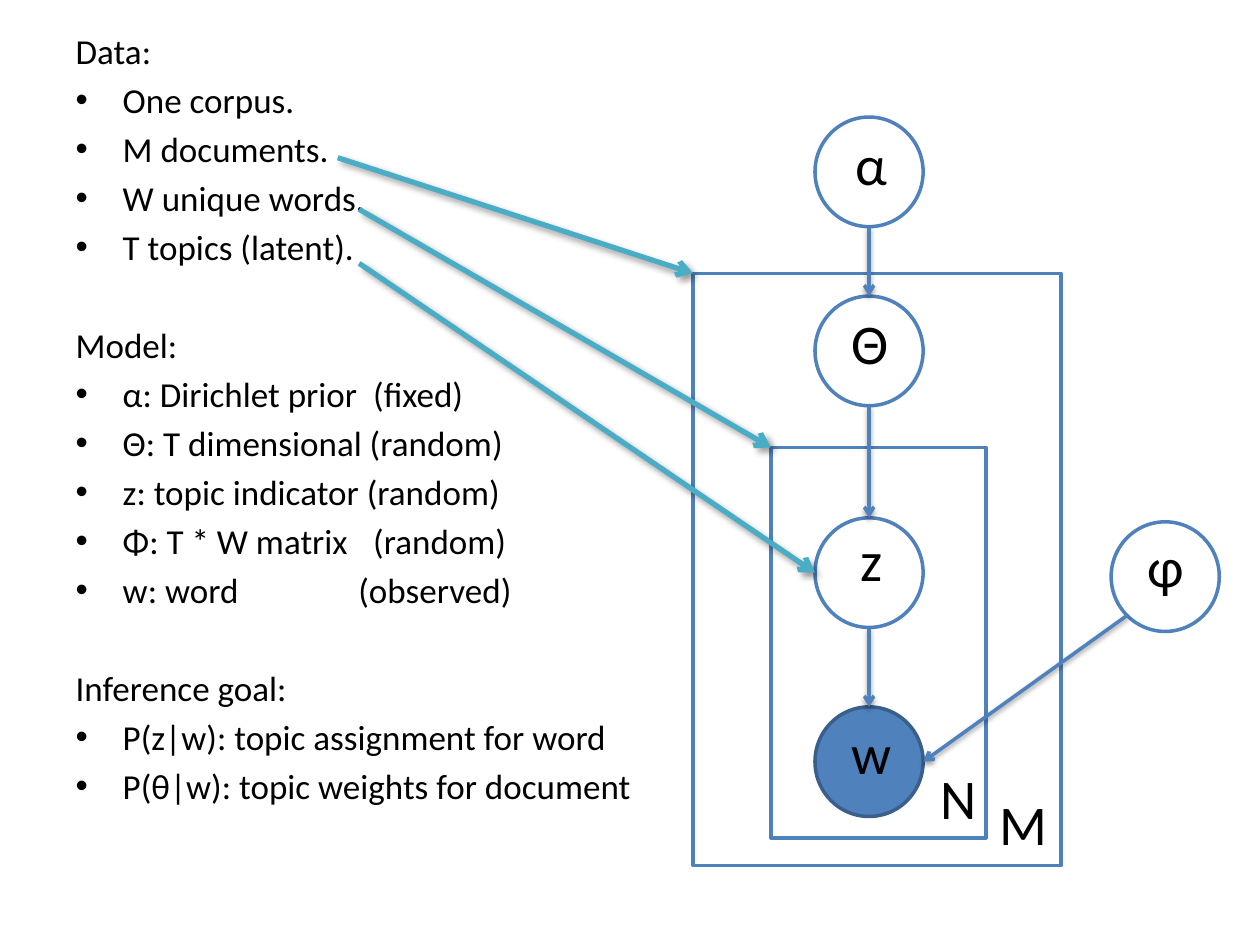
from dataclasses import dataclass

from lxml import etree
from pptx import Presentation
from pptx.dml.color import RGBColor
from pptx.enum import shapes, text
from pptx.oxml import ns
from pptx.util import Cm, Pt

BLUE, NAVY, TEAL, WHITE, BLACK = "4F81BD", "3A5F8C", "4BACC6", "FFFFFF", "000000"
NODE_W, NODE_H = 2.18, 2.21


@dataclass
class Plate:
    left: float
    top: float
    width: float
    height: float


@dataclass
class Node:
    left: float
    top: float
    fill: str = WHITE
    line: str = BLUE

    @property
    def center(self) -> float:
        return self.left + NODE_W / 2

    @property
    def middle(self) -> float:
        return self.top + NODE_H / 2


@dataclass
class Label:
    letter: str
    left: float
    top: float


@dataclass
class Shadow:
    alpha: int
    blur: float
    distance: float
    angle: int


@dataclass
class Arrow:
    start: tuple[float, float]
    end: tuple[float, float]
    color: str
    width: float
    shadow: Shadow


@dataclass
class Section:
    heading: str
    items: list[str]


def rgb(value: str) -> RGBColor:
    return RGBColor.from_string(value)


def child(parent, tag: str, **attributes):
    return etree.SubElement(parent, ns.qn(tag), {k: str(v) for k, v in attributes.items()})


def apply_format(target, values: dict) -> None:
    for name, value in values.items():
        setattr(target, name, value)


def draw_outline(slide, preset, box: tuple, fill: str, line: str) -> None:
    outline = slide.shapes.add_shape(preset, *map(Cm, box))
    outline.shadow.inherit = False
    outline.fill.solid()
    outline.fill.fore_color.rgb = rgb(fill)
    outline.line.color.rgb = rgb(line)
    outline.line.width = Pt(2)


def draw_arrow(slide, arrow: Arrow) -> None:
    connector = slide.shapes.add_connector(
        shapes.MSO_CONNECTOR.STRAIGHT, *map(Cm, arrow.start + arrow.end))
    connector.line.color.rgb = rgb(arrow.color)
    connector.line.width = Pt(arrow.width)
    child(connector.line._get_or_add_ln(), "a:tailEnd", type="arrow")
    effects = child(connector._element.spPr, "a:effectLst")
    cast = child(effects, "a:outerShdw", blurRad=Pt(arrow.shadow.blur),
                 dist=Pt(arrow.shadow.distance), dir=arrow.shadow.angle * 60000,
                 rotWithShape=0)
    tint = child(cast, "a:srgbClr", val=BLACK)
    child(tint, "a:alpha", val=arrow.shadow.alpha * 1000)


def draw_label(slide, label: Label) -> None:
    frame = slide.shapes.add_textbox(
        Cm(label.left), Cm(label.top), Cm(0.97), Cm(1.63)).text_frame
    frame.word_wrap = True
    run = frame.paragraphs[0].add_run()
    run.text = label.letter
    apply_format(run.font, {"size": Pt(32), "name": "Calibri"})
    run.font.color.rgb = rgb(BLACK)


def write_line(paragraph, words: str) -> None:
    run = paragraph.add_run()
    run.text = words
    apply_format(run.font, {"size": Pt(20), "name": "Calibri"})
    run.font.color.rgb = rgb(BLACK)


def write_sections(frame, sections: list[Section]) -> None:
    for number, section in enumerate(sections):
        heading = frame.add_paragraph() if number else frame.paragraphs[0]
        write_line(heading, section.heading)
        properties = heading._p.get_or_add_pPr()
        apply_format(heading, {"space_before": Pt(32 if number else 4)})
        properties.set("marL", "0")
        properties.set("indent", "0")
        child(properties, "a:buNone")
        for item in section.items:
            entry = frame.add_paragraph()
            write_line(entry, item)
            properties = entry._p.get_or_add_pPr()
            properties.set("marL", str(Cm(0.95)))
            properties.set("indent", str(Cm(-0.95)))
            if "\t" in item:
                stop = 5.7 if "observed" in item else 6
                child(child(properties, "a:tabLst"), "a:tab", pos=Cm(stop), algn="l")


document_plate = Plate(13.97, 5.51, 7.42, 11.94)
word_plate = Plate(15.54, 9.02, 4.34, 7.87)
alpha = Node(16.43, 2.36)
theta = Node(16.43, 5.97)
topic = Node(16.43, 10.44)
word = Node(16.43, 14.25, BLUE, NAVY)
phi = Node(22.4, 10.52)
labels = [
    Label("α", 16.99, 2.49), Label("Θ", 16.92, 6.1), Label("φ", 22.89, 10.59),
    Label("z", 17.09, 10.46), Label("w", 16.92, 14.35),
    Label("N", 18.72, 15.27), Label("M", 19.89, 15.8),
]
below, diagonal = Shadow(38, 3.1, 1.6, 90), Shadow(40, 4, 3, 45)
chain = [alpha, theta, topic, word]
arrows = [Arrow((a.center, a.top + NODE_H), (b.center, b.top), BLUE, 2, below)
          for a, b in zip(chain, chain[1:])]
arrows.append(Arrow((22.73, 12.4), (word.left + NODE_W, word.middle), BLUE, 2, below))
callouts = [
    ((6.81, 3.18), (document_plate.left, document_plate.top)),
    ((7.24, 4.22), (word_plate.left, word_plate.top)),
    ((7.24, 5.31), (topic.left, topic.middle)),
]
arrows += [Arrow(start, end, TEAL, 3, diagonal) for start, end in callouts]
sections = [
    Section("Data:", ["One corpus.", "M documents.", "W unique words.",
                      "T topics (latent)."]),
    Section("Model:", ["α: Dirichlet prior\t(fixed)", "Θ: T dimensional (random)",
                       "z: topic indicator (random)", "Φ: T * W matrix\t(random)",
                       "w: word\t(observed)"]),
    Section("Inference goal:", ["P(z|w): topic assignment for word",
                                "P(θ|w): topic weights for document"]),
]

deck = Presentation()
apply_format(deck, {"slide_width": Cm(25.4), "slide_height": Cm(19.05)})
slide = deck.slides.add_slide(deck.slide_layouts[1])
title = slide.shapes.title._element
title.getparent().remove(title)

body = slide.placeholders[1]
apply_format(body, {"left": Cm(1.27), "top": Cm(0.46),
                    "width": Cm(11.79), "height": Cm(18.14)})
apply_format(body.text_frame, {"word_wrap": True, "auto_size": text.MSO_AUTO_SIZE.NONE,
                               "vertical_anchor": text.MSO_ANCHOR.TOP})
write_sections(body.text_frame, sections)

for plate in (document_plate, word_plate):
    draw_outline(slide, shapes.MSO_SHAPE.RECTANGLE,
                 (plate.left, plate.top, plate.width, plate.height), WHITE, BLUE)
for node in chain + [phi]:
    draw_outline(slide, shapes.MSO_SHAPE.OVAL,
                 (node.left, node.top, NODE_W, NODE_H), node.fill, node.line)
for arrow in arrows:
    draw_arrow(slide, arrow)
for label in labels:
    draw_label(slide, label)

deck.save("out.pptx")
